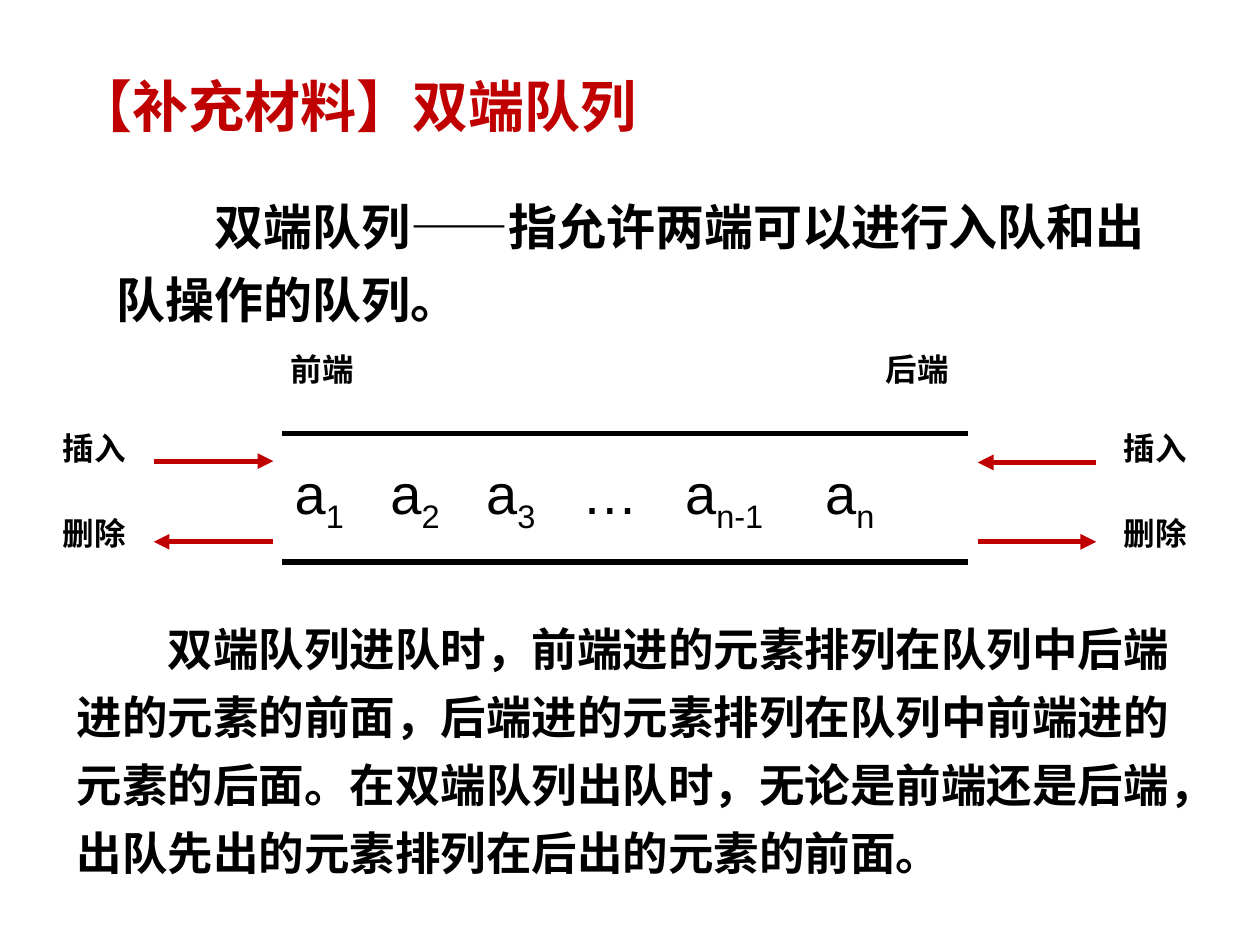
from dataclasses import dataclass
from typing import Any, NamedTuple

from pptx import Presentation
from pptx import util as u
from pptx.dml.color import RGBColor
from pptx.enum import shapes, text
from pptx.oxml.ns import qn
from lxml import etree

COLS, ROWS = 100, 75
WIDE, HIGH = u.Inches(10), u.Inches(7.5)


@dataclass(frozen=True)
class Theme:
    ink: RGBColor = RGBColor(0, 0, 0)
    red: RGBColor = RGBColor(0xC0, 0, 0)
    han: str = "Noto Sans CJK SC"
    latin: str = "Arial"
    head: int = 32
    lead: int = 28
    body: int = 26
    label: int = 18
    line: int = 3


class Box(NamedTuple):
    left: float
    top: float
    width: float
    height: float


class Side(NamedTuple):
    label: float
    start: float
    end: float
    top: float


class Item(NamedTuple):
    name: str
    sub: str
    tab: float


T = Theme()
ITEMS = [Item("a", "1", 0), Item("a", "2", 7.6), Item("a", "3", 15.2),
         Item("…", "", 22.8), Item("a", "n-1", 31), Item("a", "n", 42.1)]
# Each side's arrows run from its outer end to the queue.
SIDES = [Side(2, 12.2, 21.7, 36.6), Side(86.2, 87, 77.6, 36.7)]
QUEUE = Box(22.4, 35.9, 54.3, 6.4)


def col(n: float) -> int:
    return round(WIDE * n / COLS)


def row(n: float) -> int:
    return round(HIGH * n / ROWS)


def style(font: Any, size: int, face: str, color: RGBColor, bold: bool) -> None:
    font.size, font.name, font.bold = u.Pt(size), face, bold
    font.color.rgb = color


def add_box(parent: Any, box: Box) -> Any:
    shape = parent.add_textbox(col(box.left), row(box.top),
                               col(box.width), row(box.height))
    frame = shape.text_frame
    frame.word_wrap = True
    frame.auto_size = text.MSO_AUTO_SIZE.SHAPE_TO_FIT_TEXT
    return frame


def add_text(parent: Any, box: Box, words: str, size: int,
             color: RGBColor = T.ink, indent: int = 0,
             space: float = 1, center: bool = False) -> None:
    """Add bold Chinese text; indent counts characters on the first line."""
    frame = add_box(parent, box)
    frame.text = words
    para = frame.paragraphs[0]
    if center:
        para.alignment = text.PP_ALIGN.CENTER
    if space != 1:
        para.line_spacing = space
    if indent:
        para._p.get_or_add_pPr().set("indent", str(u.Pt(indent * size)))
    run = para.runs[0]
    style(run.font, size, T.han, color, True)
    etree.SubElement(run._r.get_or_add_rPr(), qn("a:ea"), typeface=T.han)


def add_line(parent: Any, x1: float, y1: float, x2: float, y2: float,
             color: RGBColor, arrow: bool = False) -> None:
    line = parent.add_connector(shapes.MSO_CONNECTOR.STRAIGHT,
                                col(x1), row(y1), col(x2), row(y2))
    line.line.color.rgb = color
    line.line.width = u.Pt(T.line)
    if arrow:
        etree.SubElement(line.line._get_or_add_ln(), qn("a:tailEnd"),
                         type="triangle")
    etree.SubElement(line._element.spPr, qn("a:effectLst"))


def add_items(parent: Any) -> None:
    """Set the queue elements on tab stops, with lowered indices."""
    para = add_box(parent, QUEUE).paragraphs[0]
    para.alignment = text.PP_ALIGN.JUSTIFY
    tabs = etree.SubElement(para._p.get_or_add_pPr(), qn("a:tabLst"))
    for item in ITEMS:
        if item.tab:
            etree.SubElement(tabs, qn("a:tab"), pos=str(col(item.tab)), algn="l")
        name = "\t" + item.name if item.tab else item.name
        for words, base in ((name, 0), (item.sub, -25000)):
            if words:
                run = para.add_run()
                run.text = words
                style(run.font, T.head, T.latin, T.ink, False)
                run._r.get_or_add_rPr().set("baseline", str(base))


def add_queue(tree: Any) -> None:
    group = tree.add_group_shape().shapes
    for y in (34.4, 44.6):
        add_line(group, QUEUE.left, y, 76.8, y, T.ink)
    add_items(group)


def add_label(tree: Any, left: float, top: float, words: str) -> None:
    add_text(tree, Box(left, top, 11, 5), words, T.label, center=True)


def add_side(tree: Any, side: Side) -> None:
    add_line(tree, side.start, side.top, side.end, side.top, T.red, True)
    add_line(tree, side.end, 43, side.start, 43, T.red, True)
    add_label(tree, side.label, 33.6, "插入")
    add_label(tree, side.label, 40.3, "删除")


def main() -> None:
    deck = Presentation()
    deck.slide_width, deck.slide_height = WIDE, HIGH
    tree = deck.slides.add_slide(deck.slide_layouts[6]).shapes
    add_text(tree, Box(5.1, 5.2, 48.8, 6.4), "【补充材料】双端队列", T.head, T.red)
    add_text(tree, Box(8.3, 13.9, 85.8, 12.2),
             "双端队列——指允许两端可以进行入队和出队操作的队列。",
             T.lead, indent=2, space=1.25)
    add_queue(tree)
    for left, words in ((20.1, "前端"), (67.3, "后端")):
        add_label(tree, left, 27.3, words)
    for side in SIDES:
        add_side(tree, side)
    add_text(tree, Box(5.1, 47.7, 90.6, 22.1),
             "双端队列进队时，前端进的元素排列在队列中后端进的元素的前面，"
             "后端进的元素排列在队列中前端进的元素的后面。在双端队列出队时，"
             "无论是前端还是后端，出队先出的元素排列在后出的元素的前面。",
             T.body, indent=2, space=1.25)
    deck.save("out.pptx")


if __name__ == "__main__":
    main()
